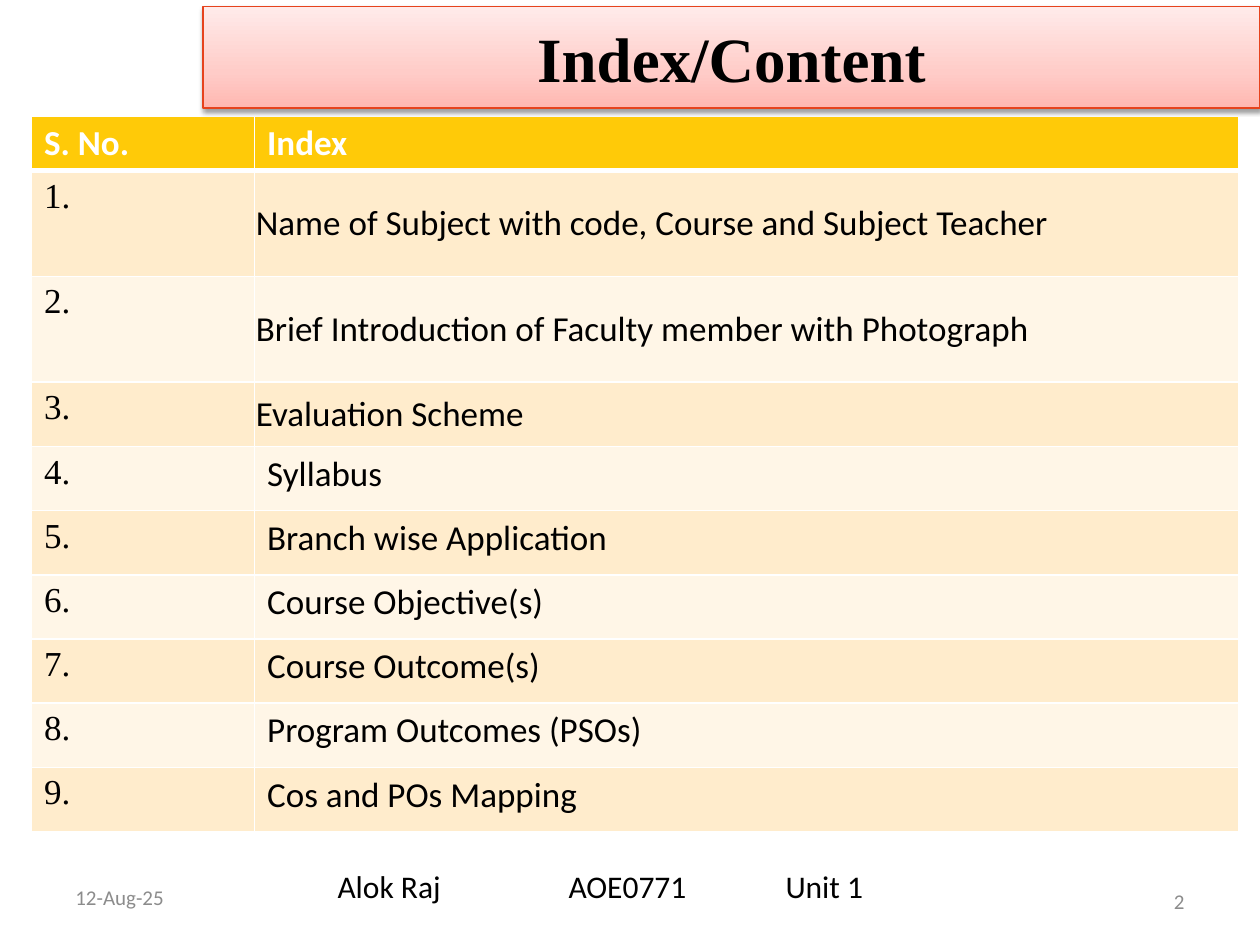
from pptx import Presentation, util as u
from pptx.dml.color import RGBColor
from pptx.enum import shapes, text
from pptx.oxml import parse_xml
from pptx.oxml.ns import nsdecls

Pt = u.Pt
BLACK = RGBColor(0, 0, 0)
WHITE = RGBColor(255, 255, 255)
GREY = RGBColor(0x8C, 0x8C, 0x8C)
GOLD = RGBColor(0xFF, 0xCA, 0x08)
BANDS = RGBColor(0xFF, 0xEC, 0xCC), RGBColor(0xFF, 0xF6, 0xE7)
RED = RGBColor(0xE6, 0x43, 0x1D)
TITLE_STOPS = [(0, RGBColor(0xFF, 0xB7, 0xB1)), (35, RGBColor(0xFF, 0xCC, 0xC8)),
               (100, RGBColor(0xFF, 0xEB, 0xEA))]
SANS, SERIF = "Calibri", "Times New Roman"

TITLE = "Index/Content"
HEADER = ["S. No.", "Index"]
TOPICS = [
    "Name of Subject with code, Course and Subject Teacher",
    "Brief Introduction of Faculty member with Photograph",
    "Evaluation Scheme",
    "Syllabus",
    "Branch wise Application",
    "Course Objective(s)",
    "Course Outcome(s)",
    "Program Outcomes (PSOs)",
    "Cos and POs Mapping",
]
TIGHT_TOPICS = 3
FOOTER = ["Alok Raj", "AOE0771", "Unit 1"]
FOOTER_TABS = [132, 256]
DATE, PAGE = "12-Aug-25", "2"

COLUMN_WIDTHS = [127.5, 562.5]
ROW_HEIGHTS = [30.6] + [60.5] * 2 + [36.7] * 7


def write(frame, content, size=20, font=SANS, color=BLACK, bold=False,
          align=text.PP_ALIGN.LEFT, tabs=()):
    paragraph = frame.paragraphs[0]
    if tabs:
        stops = "".join(f'<a:tab pos="{Pt(tab)}" algn="l"/>' for tab in tabs)
        paragraph._p.get_or_add_pPr().append(
            parse_xml(f'<a:tabLst {nsdecls("a")}>{stops}</a:tabLst>'))
    paragraph.alignment = align
    run = paragraph.add_run()
    run.text = content
    run.font.size, run.font.name, run.font.bold = Pt(size), font, bold
    run.font.color.rgb = color


def add_label(slide, box, content, anchor=text.MSO_ANCHOR.MIDDLE, **style):
    frame = slide.shapes.add_textbox(*map(Pt, box)).text_frame
    frame.word_wrap = True
    frame.vertical_anchor = anchor
    write(frame, content, **style)


def style_cell(cell, fill, bottom, top):
    cell.fill.solid()
    cell.fill.fore_color.rgb = fill
    properties = cell._tc.get_or_add_tcPr()
    for i, (side, width) in enumerate(zip("LRTB", (1, 1, top, bottom))):
        properties.insert(i, parse_xml(
            f'<a:ln{side} {nsdecls("a")} w="{Pt(width)}"><a:solidFill>'
            f'<a:srgbClr val="{WHITE}"/></a:solidFill></a:ln{side}>'))


def add_index(slide):
    rows = [HEADER] + [[f"{n}.", topic] for n, topic in enumerate(TOPICS, 1)]
    index = slide.shapes.add_table(
        len(rows), 2, Pt(18), Pt(66.2), Pt(sum(COLUMN_WIDTHS)), Pt(sum(ROW_HEIGHTS))).table
    for column, width in zip(index.columns, COLUMN_WIDTHS):
        column.width = Pt(width)
    for r, (row, height) in enumerate(zip(rows, ROW_HEIGHTS)):
        index.rows[r].height = Pt(height)
        for c, content in enumerate(row):
            cell = index.cell(r, c)
            style_cell(cell, BANDS[(r - 1) % 2] if r else GOLD,
                       bottom=1 if r else 3, top=3 if r == 1 else 1)
            if c == 1 and 1 <= r <= TIGHT_TOPICS:
                cell.vertical_anchor = text.MSO_ANCHOR.MIDDLE
                cell.margin_left = cell.margin_right = cell.margin_top = Pt(0.7)
                cell.margin_bottom = 0
            write(cell.text_frame, content, font=SERIF if r and c == 0 else SANS,
                  color=BLACK if r else WHITE, bold=r == 0)


def add_title(slide):
    banner = slide.shapes.add_shape(
        shapes.MSO_SHAPE.RECTANGLE, Pt(116), Pt(3.6), Pt(604), Pt(58.2))
    banner.fill.gradient()
    banner.fill.gradient_angle = 90
    stops = banner._element.spPr.xpath(".//a:gsLst")[0]
    for stop in list(stops):
        stops.remove(stop)
    for position, color in TITLE_STOPS:
        stops.append(parse_xml(f'<a:gs {nsdecls("a")} pos="{position * 1000}">'
                               f'<a:srgbClr val="{color}"/></a:gs>'))
    banner.line.color.rgb = RED
    banner.line.width = Pt(0.75)
    banner.shadow.inherit = False
    banner._element.spPr.xpath("a:effectLst")[0].append(parse_xml(
        f'<a:outerShdw {nsdecls("a")} blurRad="{Pt(3.1)}" dist="{Pt(1.6)}" dir="5400000" '
        'rotWithShape="0"><a:srgbClr val="000000"><a:alpha val="38000"/></a:srgbClr></a:outerShdw>'))
    banner.text_frame.vertical_anchor = text.MSO_ANCHOR.MIDDLE
    write(banner.text_frame, TITLE, size=36, font=SERIF, bold=True, align=text.PP_ALIGN.CENTER)


def main():
    deck = Presentation()
    deck.slide_width, deck.slide_height = Pt(720), Pt(540)
    slide = deck.slides.add_slide(deck.slide_layouts[6])
    add_label(slide, (36, 496, 312.5, 33), DATE, size=12, color=GREY)
    add_label(slide, (516, 500.4, 168, 28.8), PAGE, size=12, color=GREY,
              align=text.PP_ALIGN.RIGHT)
    add_index(slide)
    add_label(slide, (185.8, 491.8, 396, 29), "\t".join(FOOTER),
              anchor=text.MSO_ANCHOR.TOP, size=18, tabs=FOOTER_TABS)
    add_title(slide)
    deck.save("out.pptx")


if __name__ == "__main__":
    main()
